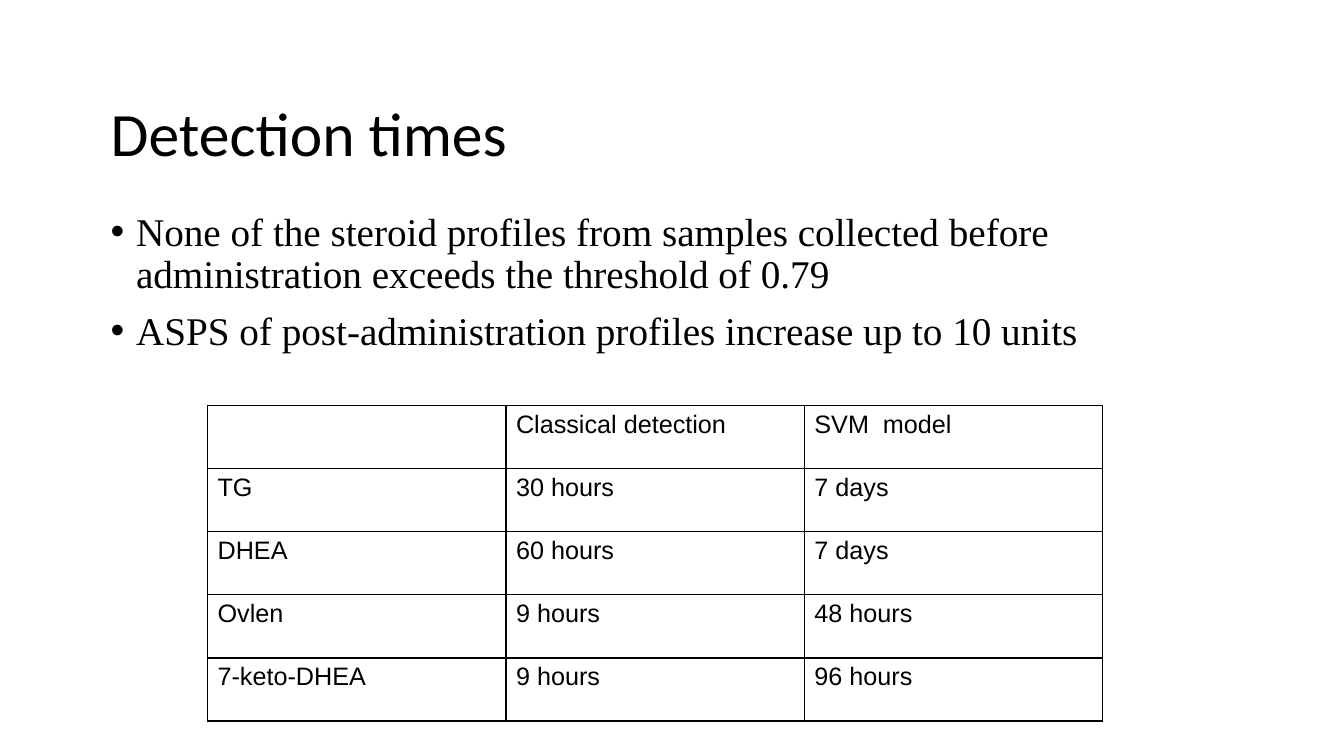
from lxml.etree import SubElement
from pptx import Presentation
from pptx.dml.color import RGBColor
from pptx.enum.text import MSO_ANCHOR
from pptx.oxml import parse_xml
from pptx.oxml.ns import nsdecls, qn
from pptx.util import Cm, Pt

COLORS = {"ink": "000000"}
TITLE = "Detection times"
FINDINGS = [
    "None of the steroid profiles from samples collected before "
    "administration exceeds the threshold of 0.79",
    "ASPS of post-administration profiles increase up to 10 units",
]
DETECTION_TIMES = [
    ["", "Classical detection", "SVM  model"],
    ["TG", "30 hours", "7 days"],
    ["DHEA", "60 hours", "7 days"],
    ["Ovlen", "9 hours", "48 hours"],
    ["7-keto-DHEA", "9 hours", "96 hours"],
]
COLUMN_WIDTH = Cm(7.52)
ROW_HEIGHT = Cm(1.59)


def style_font(font, name, size):
    font.name = name
    font.size = Pt(size)
    font.color.rgb = RGBColor.from_string(COLORS["ink"])


def add_text(slide, top, height, lines, font_name, size, anchor):
    """Add a full-width text box and return its paragraphs."""
    frame = slide.shapes.add_textbox(Cm(2.54), top, Cm(28.78), height).text_frame
    frame.word_wrap = True
    frame.vertical_anchor = anchor
    frame.text = "\n".join(lines)
    for paragraph in frame.paragraphs:
        paragraph.line_spacing = 0.9
        for run in paragraph.runs:
            style_font(run.font, font_name, size)
    return frame.paragraphs


def add_bullet(paragraph):
    properties = paragraph._p.get_or_add_pPr()
    indent = Cm(0.64)
    properties.set("marL", str(indent))
    properties.set("indent", str(-indent))
    SubElement(properties, qn("a:buFont")).set("typeface", "Arial")
    SubElement(properties, qn("a:buChar")).set("char", "•")


def add_borders(cell):
    properties = cell._tc.get_or_add_tcPr()
    for position, side in enumerate(("lnL", "lnR", "lnT", "lnB")):
        border = parse_xml(
            f'<a:{side} {nsdecls("a")} w="{Pt(1)}"><a:solidFill>'
            f'<a:srgbClr val="{COLORS["ink"]}"/></a:solidFill></a:{side}>'
        )
        properties.insert(position, border)


def add_times_table(slide, left, top, rows):
    row_count, column_count = len(rows), len(rows[0])
    table = slide.shapes.add_table(
        row_count, column_count, left, top,
        COLUMN_WIDTH * column_count, ROW_HEIGHT * row_count,
    ).table
    table.first_row = False
    table.horz_banding = False
    for row_index, row in enumerate(rows):
        for column_index, label in enumerate(row):
            cell = table.cell(row_index, column_index)
            cell.text = label
            style_font(cell.text_frame.paragraphs[0].font, "Arial", 18)
            for run in cell.text_frame.paragraphs[0].runs:
                style_font(run.font, "Arial", 18)
            cell.fill.background()
            add_borders(cell)


def main():
    presentation = Presentation()
    presentation.slide_width = Cm(33.87)
    presentation.slide_height = Cm(19.05)
    slide = presentation.slides.add_slide(presentation.slide_layouts[6])

    add_text(slide, Cm(1.85), Cm(3.18), [TITLE], "Calibri", 44, MSO_ANCHOR.MIDDLE)
    findings = add_text(slide, Cm(5.23), Cm(9.53), FINDINGS,
                        "Times New Roman", 28, MSO_ANCHOR.TOP)
    findings[1].space_before = Pt(10)
    for finding in findings:
        add_bullet(finding)
    add_times_table(slide, Cm(5.23), Cm(10.22), DETECTION_TIMES)

    presentation.save("out.pptx")


if __name__ == "__main__":
    main()
